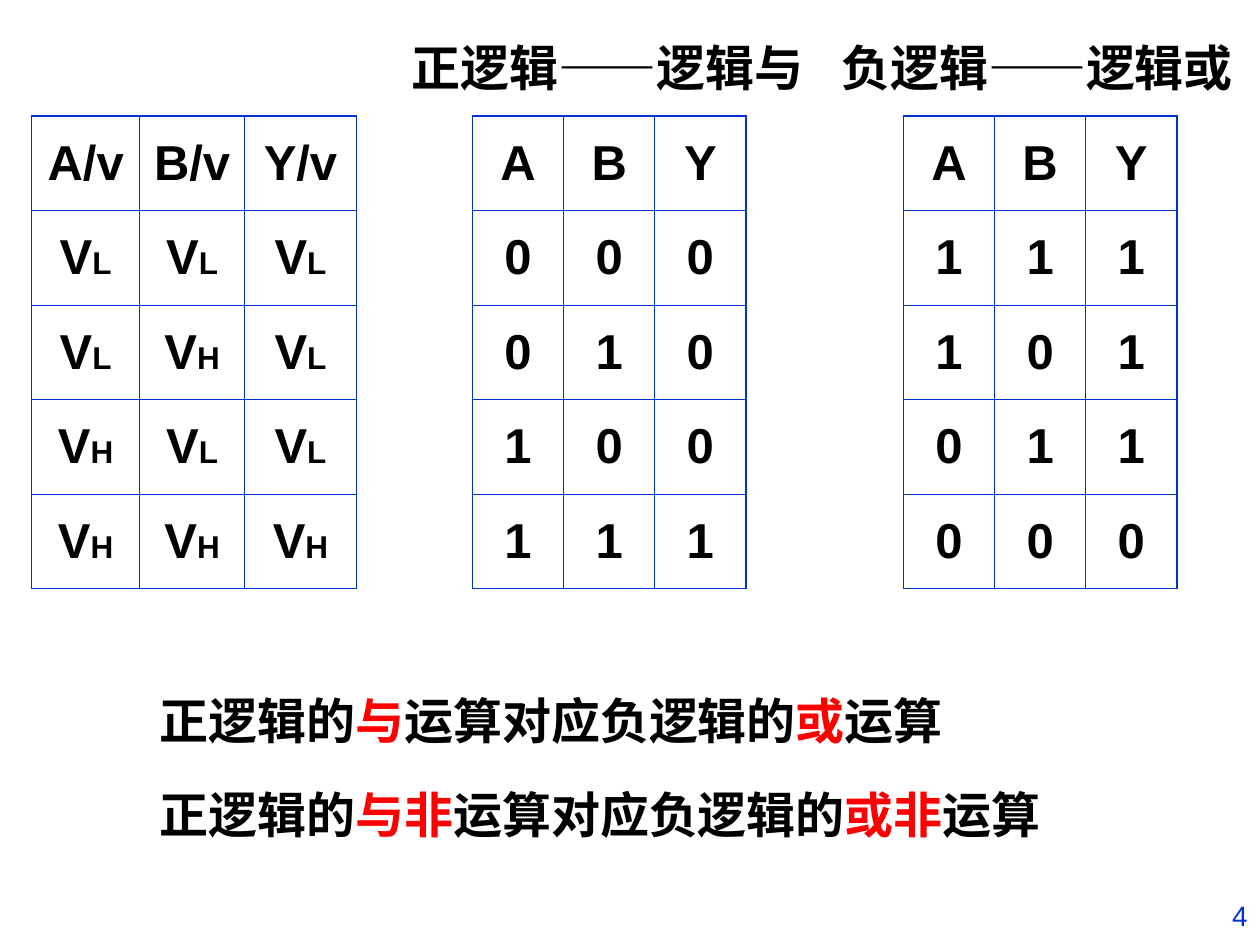
from dataclasses import dataclass

from lxml import etree
from pptx import Presentation
from pptx.dml.color import RGBColor
from pptx.enum.text import MSO_ANCHOR, PP_ALIGN
from pptx.oxml.ns import qn
from pptx.util import Inches, Pt

LEFT, CENTER, RIGHT = PP_ALIGN.LEFT, PP_ALIGN.CENTER, PP_ALIGN.RIGHT
MIDDLE = MSO_ANCHOR.MIDDLE
BLANK_LAYOUT = 6


@dataclass(frozen=True)
class Theme:
    font: str = "Arial"
    ink: str = "000000"
    accent: str = "FF0000"
    blue: str = "0033CC"
    body: int = 28
    subscript: int = 18
    page: int = 16
    outer_line: float = 1.08
    inner_line: float = 0.45


THEME = Theme()
TABLE_TOP, TABLE_HEIGHT = 0.92, 3.75
HEADING_TOP, TEXT_HEIGHT = 0.25, 0.57

VOLTAGE_ROWS = [["A/v", "B/v", "Y/v"]] + [
    ["V" + level for level in levels] for levels in ("LLL", "LHL", "HLL", "HHH")]
POSITIVE_ROWS = ["ABY", "000", "010", "100", "111"]
NEGATIVE_ROWS = ["ABY", "111", "101", "011", "000"]


def style_paragraph(paragraph, size, color, bold, align):
    paragraph.alignment = align
    font = paragraph.font
    font.name, font.size, font.bold = THEME.font, Pt(size), bold
    font.color.rgb = RGBColor.from_string(color)


def add_text(slide, left, top, width, height, parts, size=THEME.body,
             color=THEME.ink, bold=True, align=LEFT):
    """Add one line of text; every second part takes the accent colour."""
    box = slide.shapes.add_textbox(
        Inches(left), Inches(top), Inches(width), Inches(height))
    box.text_frame.word_wrap = True
    paragraph = box.text_frame.paragraphs[0]
    style_paragraph(paragraph, size, color, bold, align)
    for index, part in enumerate(parts):
        run = paragraph.add_run()
        run.text = part
        if index % 2:
            run.font.color.rgb = RGBColor.from_string(THEME.accent)


def set_borders(cell, outer_sides):
    properties = cell._tc.get_or_add_tcPr()
    for side in "LRTB":
        width = THEME.outer_line if side in outer_sides else THEME.inner_line
        line = etree.SubElement(properties, qn(f"a:ln{side}"), w=str(Pt(width)))
        fill = etree.SubElement(line, qn("a:solidFill"))
        etree.SubElement(fill, qn("a:srgbClr"), val=THEME.blue)


def fill_cell(cell, label):
    cell.vertical_anchor = MIDDLE
    paragraph = cell.text_frame.paragraphs[0]
    style_paragraph(paragraph, THEME.body, THEME.ink, True, CENTER)
    is_voltage = label in ("VL", "VH")
    paragraph.add_run().text = label[0] if is_voltage else label
    if is_voltage:
        level = paragraph.add_run()
        level.text = label[1]
        level.font.size = Pt(THEME.subscript)


def add_truth_table(slide, left, column_widths, rows):
    last_row, last_column = len(rows) - 1, len(column_widths) - 1
    table = slide.shapes.add_table(
        len(rows), len(column_widths), Inches(left), Inches(TABLE_TOP),
        Inches(sum(column_widths)), Inches(TABLE_HEIGHT)).table
    table.first_row = table.horz_banding = False
    for column, width in zip(table.columns, column_widths):
        column.width = Inches(width)
    for r, labels in enumerate(rows):
        for c, label in enumerate(labels):
            cell = table.cell(r, c)
            fill_cell(cell, label)
            edges = {"L": c == 0, "R": c == last_column,
                     "T": r == 0, "B": r == last_row}
            set_borders(cell, [side for side, outer in edges.items() if outer])
            cell.fill.background()


def main():
    presentation = Presentation()
    presentation.slide_width, presentation.slide_height = Inches(10), Inches(7.5)
    slide = presentation.slides.add_slide(
        presentation.slide_layouts[BLANK_LAYOUT])

    # Conclusions
    add_text(slide, 1.17, 5.43, 6.5, TEXT_HEIGHT,
             ["正逻辑的", "与", "运算对应负逻辑的", "或", "运算"])
    add_text(slide, 1.17, 6.18, 7.83, TEXT_HEIGHT,
             ["正逻辑的", "与非", "运算对应负逻辑的", "或非", "运算"])

    # Voltage table and the two truth tables
    logic_columns = [2.17 / 3] * 3
    add_truth_table(slide, 0.25, [0.86, 0.83, 0.89], VOLTAGE_ROWS)
    add_truth_table(slide, 3.75, logic_columns, POSITIVE_ROWS)
    add_truth_table(slide, 7.17, logic_columns, NEGATIVE_ROWS)

    # Table headings
    add_text(slide, 3.17, HEADING_TOP, 3.42, TEXT_HEIGHT, ["正逻辑——逻辑与"])
    add_text(slide, 6.58, HEADING_TOP, 3.33, TEXT_HEIGHT, ["负逻辑——逻辑或"])

    # Page number
    add_text(slide, 7.5, 7.08, 2.5, 0.42, ["4"], size=THEME.page,
             color=THEME.blue, bold=False, align=RIGHT)

    presentation.save("out.pptx")


if __name__ == "__main__":
    main()
